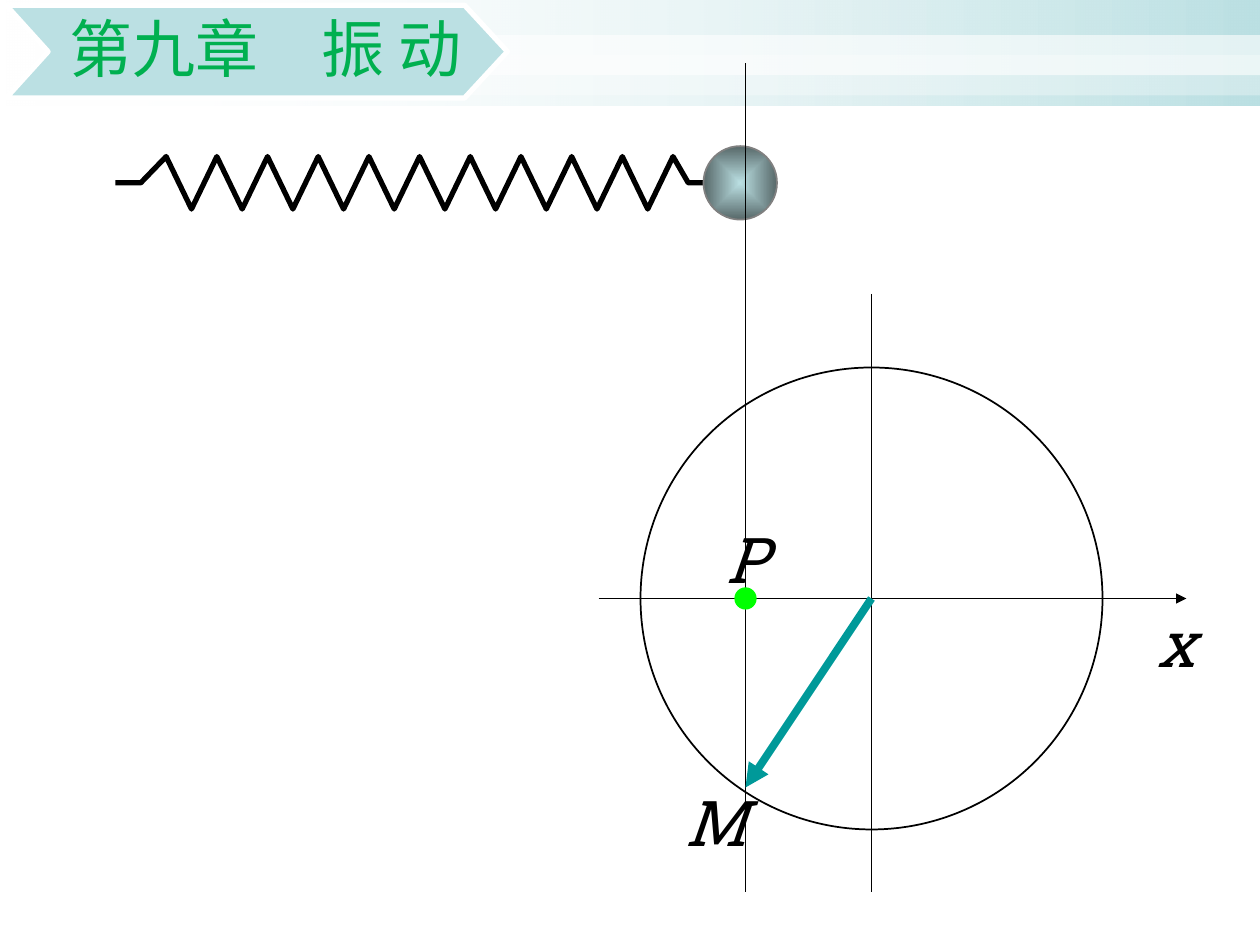
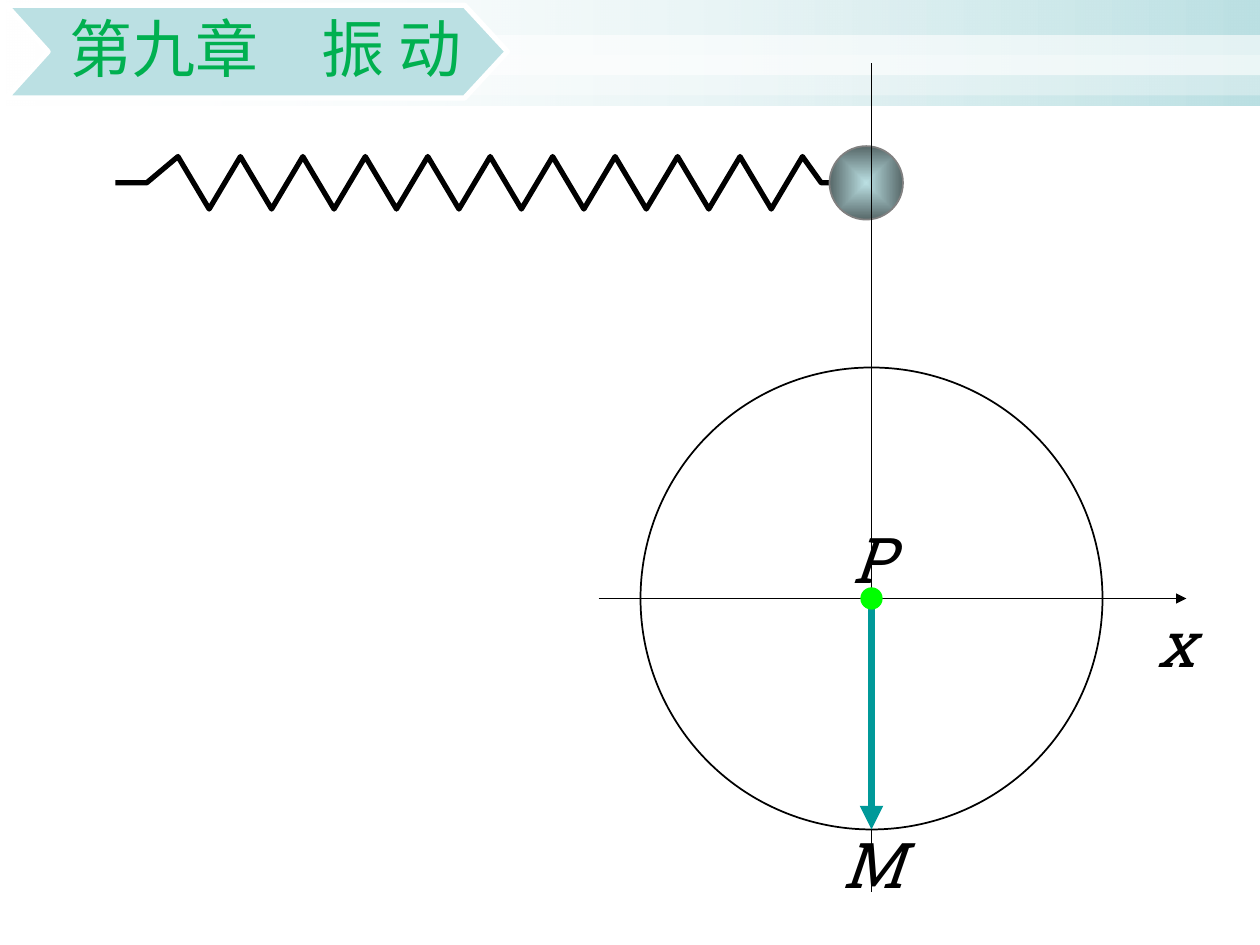
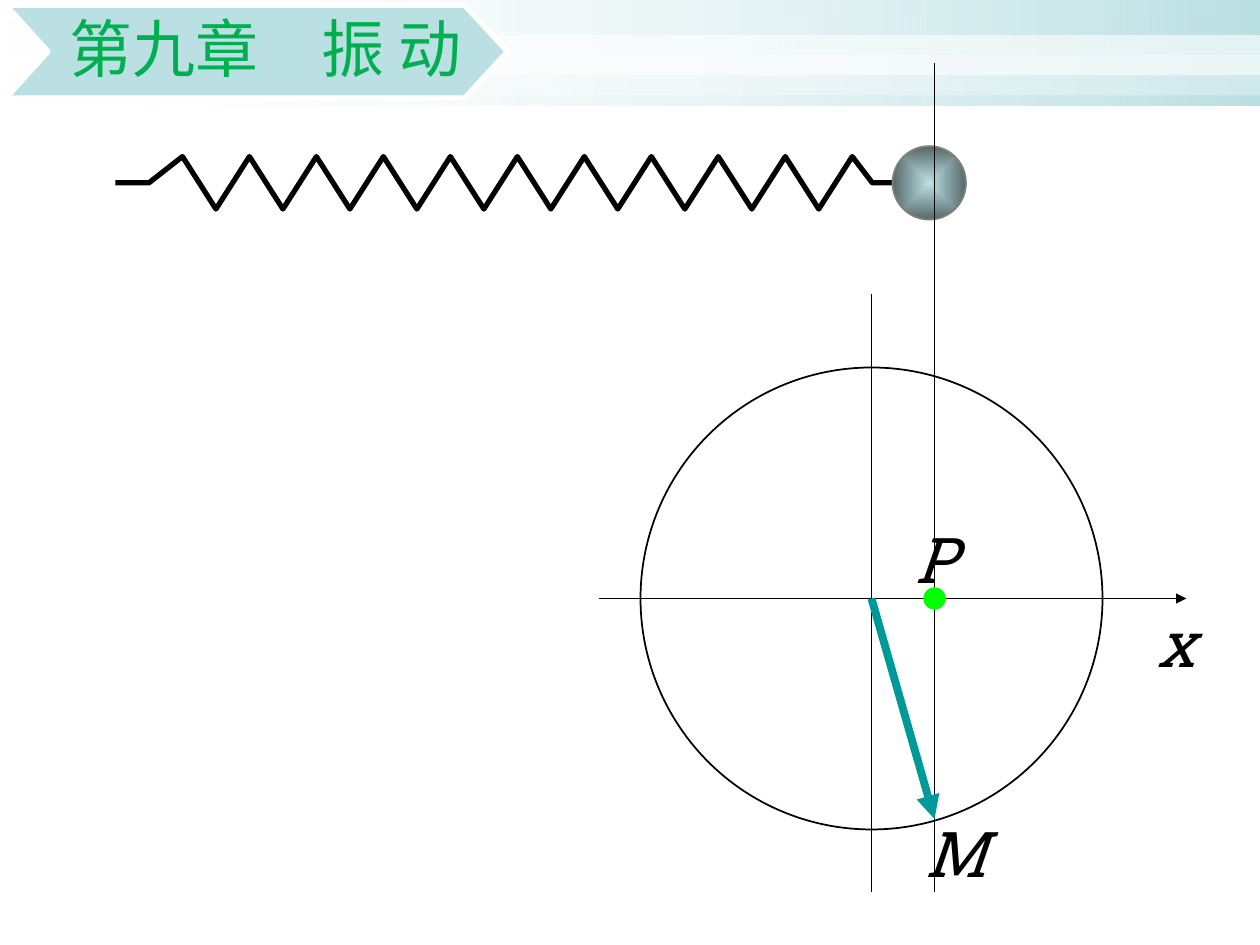
from dataclasses import dataclass

from lxml import etree
from pptx import Presentation
from pptx.dml.color import RGBColor
from pptx.enum.shapes import MSO_CONNECTOR, MSO_SHAPE
from pptx.enum.text import MSO_ANCHOR, MSO_AUTO_SIZE, PP_ALIGN
from pptx.oxml.ns import qn
from pptx.util import Pt

RECT, OVAL = MSO_SHAPE.RECTANGLE, MSO_SHAPE.OVAL
STRAIGHT = MSO_CONNECTOR.STRAIGHT
MIDDLE, RIGHT = MSO_ANCHOR.MIDDLE, PP_ALIGN.RIGHT
NO_FIT, GROW = MSO_AUTO_SIZE.NONE, MSO_AUTO_SIZE.SHAPE_TO_FIT_TEXT
TITLE_ONLY = 5


@dataclass(frozen=True)
class Theme:
    ink: str = "000000"
    paper: str = "FFFFFF"
    band: str = "BBE0E3"
    ball_edge: str = "576869"
    ball_line: str = "808080"
    vector: str = "009999"
    point: str = "00FF00"
    title: str = "00B050"
    title_font: str = "Calibri"
    label_font: str = "Roboto Slab"
    size: int = 36
    thin: float = 1
    thick: float = 3
    heavy: float = 4.5


TITLE = "第九章　振 动"
CX, CY, RADIUS = 498, 342, 132
SPRING_LEFT, SPRING_Y, SPRING_AMP = 66, 104.5, 15
BALL, DOT = 42, 12
LABEL_HEIGHT = 50

# End of the spring, tip of the rotating vector, left edge of the label M
STATES = [
    (402, (426, 450), 384.5),
    (480, (498, 474), 474.5),
    (510, (534, 468), 522),
]


class Deck:
    def __init__(self, theme):
        self.t = theme
        self.prs = Presentation()
        self.prs.slide_width, self.prs.slide_height = Pt(720), Pt(540)
        self.layout = self.prs.slide_layouts[TITLE_ONLY]
        self.s = None

    def new_slide(self):
        self.s = self.prs.slides.add_slide(self.layout)

    def style(self, sp, fill=None, line=None, width=1):
        sp.shadow.inherit = False
        if fill:
            sp.fill.solid()
            sp.fill.fore_color.rgb = RGBColor.from_string(fill)
        else:
            sp.fill.background()
        if line:
            sp.line.color.rgb = RGBColor.from_string(line)
            sp.line.width = Pt(width)
        else:
            sp.line.fill.background()
        return sp

    def shape(self, kind, x, y, w, h, **style):
        sp = self.s.shapes.add_shape(kind, Pt(x), Pt(y), Pt(w), Pt(h))
        return self.style(sp, **style)

    def gradient(self, sp, start, end, start_alpha=100, radial=False):
        """Fill sp from left to right, or from its centre outwards."""
        grad = etree.Element(qn("a:gradFill"), rotWithShape="1")
        stops = etree.SubElement(grad, qn("a:gsLst"))
        for pos, color, alpha in ((0, start, start_alpha), (100, end, 100)):
            gs = etree.SubElement(stops, qn("a:gs"), pos=str(pos * 1000))
            clr = etree.SubElement(gs, qn("a:srgbClr"), val=color)
            if alpha < 100:
                etree.SubElement(clr, qn("a:alpha"), val=str(alpha * 1000))
        if radial:
            way = etree.SubElement(grad, qn("a:path"), path="rect")
            etree.SubElement(way, qn("a:fillToRect"), dict.fromkeys("ltrb", "50000"))
        else:
            etree.SubElement(grad, qn("a:lin"), ang="0", scaled="1")
        sp_pr = sp.element.spPr
        sp_pr.replace(sp_pr.find(qn("a:noFill")), grad)

    def line(self, start, end, color, width, arrow=False):
        c = self.s.shapes.add_connector(STRAIGHT, *map(Pt, (*start, *end)))
        c.line.color.rgb = RGBColor.from_string(color)
        c.line.width = Pt(width)
        sp_pr = c.element.spPr
        if arrow:
            etree.SubElement(sp_pr.find(qn("a:ln")), qn("a:tailEnd"), type="triangle")
        etree.SubElement(sp_pr, qn("a:effectLst"))
        return c

    def outline(self, points, close, **style):
        (x, y), *rest = [(Pt(px), Pt(py)) for px, py in points]
        fb = self.s.shapes.build_freeform(x, y)
        fb.add_line_segments(rest, close=close)
        return self.style(fb.convert_to_shape(), **style)

    def run(self, p, text, font, color, italic=False):
        r = p.add_run()
        r.text = text
        r.font.name, r.font.size, r.font.italic = font, Pt(self.t.size), italic
        r.font.color.rgb = RGBColor.from_string(color)

    def label(self, text, x, y, w):
        sp = self.s.shapes.add_textbox(Pt(x), Pt(y), Pt(w), Pt(LABEL_HEIGHT))
        tf = sp.text_frame
        tf.word_wrap, tf.auto_size = False, GROW
        self.run(tf.paragraphs[0], text, self.t.label_font, self.t.ink, italic=True)
        return sp

    def group(self, *shapes):
        self.s.shapes.add_group_shape(shapes)

    def bands(self):
        """Draw the header bands and hand them to the layout all slides use."""
        header = self.shape(RECT, 0, 0, 720, 60.5)
        self.gradient(header, self.t.paper, self.t.band, start_alpha=0)
        bands = [header]
        for y, alpha in ((20, 60), (31.5, 31)):
            stripe = self.shape(RECT, 0, y, 720, 23, fill=self.t.paper)
            clr = stripe.element.spPr.find(".//" + qn("a:srgbClr"))
            etree.SubElement(clr, qn("a:alpha"), val=str(alpha * 1000))
            bands.append(stripe)
        tree = self.layout.shapes.element
        for number, band in enumerate(bands, 101):
            band.element.find(".//" + qn("p:cNvPr")).set("id", str(number))
            tree.append(band.element)

    def banner(self, text):
        x, y, w, h, notch = 3.5, 3, 286.5, 53, 24
        mid, bottom, right = y + h / 2, y + h, x + w
        points = [(x, y), (right - notch - 0.5, y), (right, mid),
                  (right - notch - 0.5, bottom), (x, bottom), (x + notch, mid)]
        self.outline(points, True, fill=self.t.band, line=self.t.paper,
                     width=self.t.thick)
        sp = self.s.shapes.title
        sp.left, sp.top, sp.width, sp.height = Pt(x), Pt(y), Pt(w), Pt(h)
        self.s.shapes.element.append(sp.element)
        tf = sp.text_frame
        tf.auto_size, tf.word_wrap, tf.vertical_anchor = NO_FIT, True, MIDDLE
        tf.margin_left, tf.margin_right = Pt(30), Pt(26.5)
        tf.margin_top = tf.margin_bottom = Pt(2)
        p = tf.paragraphs[0]
        p.alignment, p.line_spacing, p.space_after = RIGHT, 0.9, Pt(15.8)
        self.run(p, text, self.t.title_font, self.t.title)

    def spring(self, end):
        step = (end - SPRING_LEFT) / 23.2
        points = [(SPRING_LEFT, SPRING_Y), (SPRING_LEFT + step, SPRING_Y)]
        for i in range(2, 23):
            swing = SPRING_AMP if i % 2 else -SPRING_AMP
            points.append((SPRING_LEFT + i * step, SPRING_Y + swing))
        points += [(end - 0.6 * step, SPRING_Y), (end, SPRING_Y)]
        self.outline(points, False, line=self.t.ink, width=self.t.thick)

    def ball(self, x):
        """Draw the oscillating ball and the line that projects it to x."""
        ball = self.shape(OVAL, x - 24, SPRING_Y - BALL / 2, BALL, BALL,
                          line=self.t.ball_line, width=self.t.thin)
        self.gradient(ball, self.t.band, self.t.ball_edge, radial=True)
        self.group(ball, self.line((x, 36), (x, 510), self.t.ink, self.t.thin))

    def reference_circle(self):
        ink, thin = self.t.ink, self.t.thin
        self.group(
            self.shape(OVAL, CX - RADIUS, CY - RADIUS, 2 * RADIUS, 2 * RADIUS,
                       line=ink, width=thin),
            self.line((342, CY), (678, CY), ink, thin, arrow=True),
            self.line((CX, 168), (CX, 510), ink, thin),
            self.label("x", 654.5, CY, 34),
        )

    def rotating_vector(self, tip, label_left):
        x, y = tip
        self.line((CX, CY), tip, self.t.vector, self.t.heavy, arrow=True)
        self.label("M", label_left, y - 6, 45)
        self.label("P", x - 18, CY - 48, 36)
        self.shape(OVAL, x - DOT / 2, CY - DOT / 2, DOT, DOT,
                   fill=self.t.point, line=self.t.point, width=0.75)


def main():
    deck = Deck(Theme())
    for i, (spring_end, tip, label_left) in enumerate(STATES):
        deck.new_slide()
        if i == 0:
            deck.bands()
        deck.spring(spring_end)
        deck.ball(tip[0])
        deck.reference_circle()
        deck.rotating_vector(tip, label_left)
        deck.banner(TITLE)
    deck.prs.save("out.pptx")


if __name__ == "__main__":
    main()
